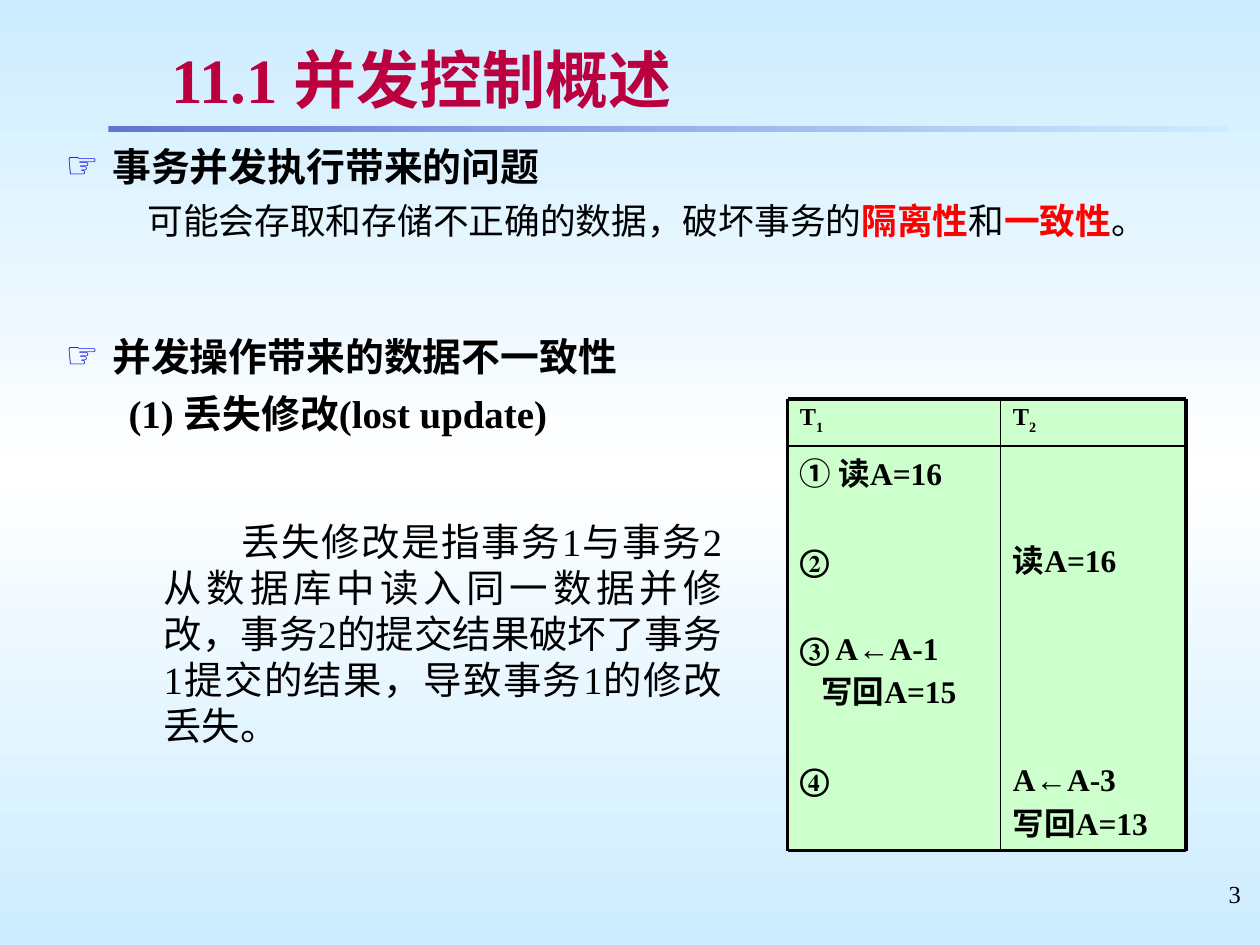
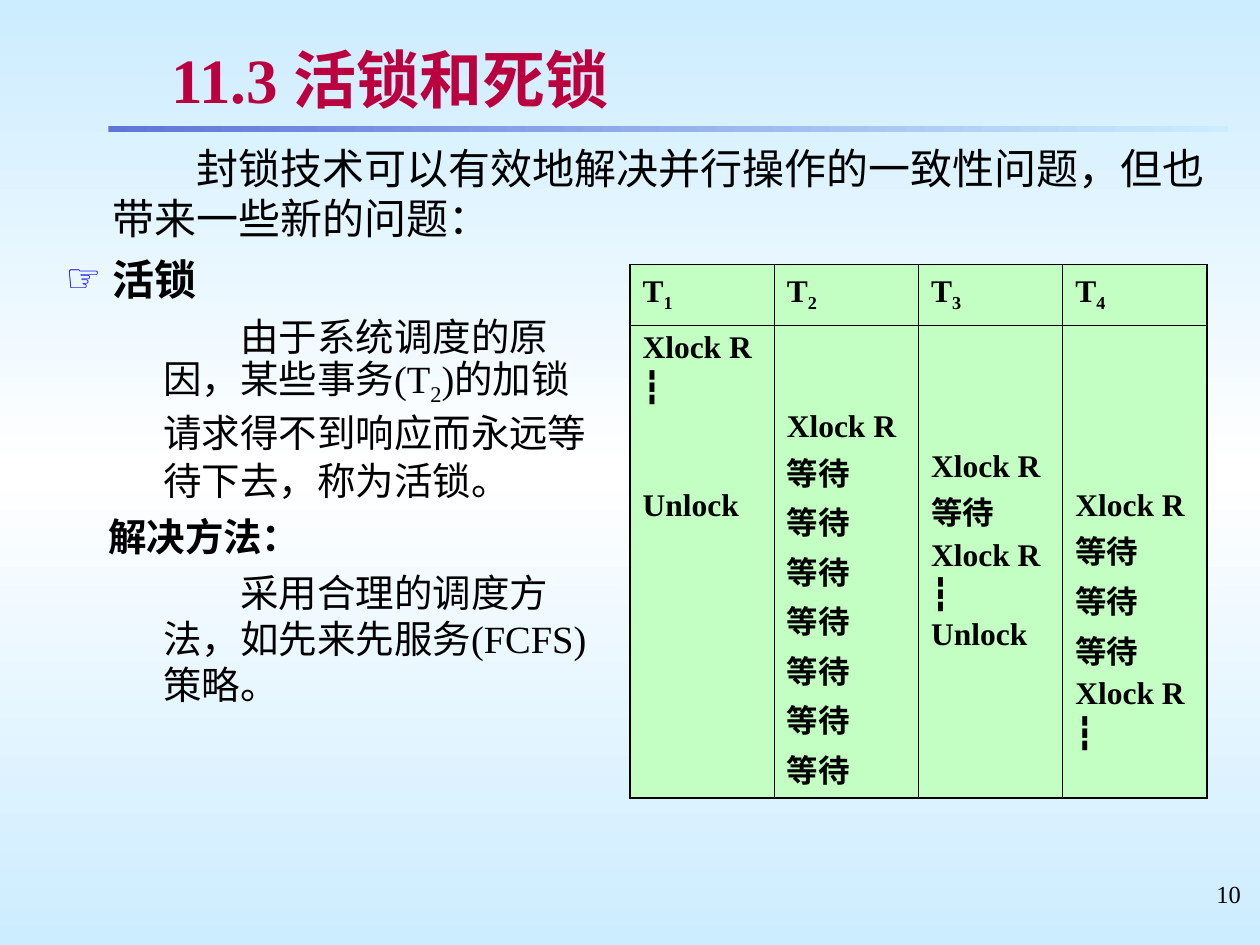
from pptx import Presentation
from pptx import util as u
from pptx.dml.color import RGBColor
from pptx.enum import shapes, text
from pptx.oxml.ns import qn
from lxml import etree

THEME = {
    "latin": "Times New Roman", "asian": "Noto Sans CJK SC",
    "ink": "000000", "title": "BA003E", "hot": "FF0000", "bullet": "0000E8",
    "sky": [(0, "CCECFF"), (50, "FFFFFF"), (100, "CCECFF")],
    "band": [(0, "5F76D7"), (100, "CCECFF")],
    "title_size": 36, "page_size": 14, "step_size": 18, "lead": 1.2, "pad": 0.05,
}
BAND = (8.6, 13.33, 88.9, 0.67)
PAGE = (76, 92.4, 23.3, 6.93)
TITLE = (12.6, 3.87, 82.4, 8.93)

SUB = {"baseline": -25000}
HOT = {"bold": True, "color": THEME["hot"]}

HEAD = {"size": 22.2, "bold": True, "left": 0.37, "first": -0.37, "bullet": "☞", "before": 6}
NOTE = {"size": 20.4, "left": 0.37, "first": 0.28, "before": 5.5}
ITEM = {"size": 22.2, "bold": True, "left": 0.5, "before": 6}
LEAD_IN = {"size": 24, "left": 0.37, "first": 0.67}
TOPIC = {**HEAD, "size": 24}
PROSE = {"size": 22, "left": 0.81, "first": 0.61, "before": 5.5}
METHOD = {"size": 22, "bold": True, "left": 0.37, "before": 5.5}

WAIT, XLOCK, DOTS = "等待", "Xlock R", "┇"

SLIDES = [
    {
        "page": "3", "title": "11.1 并发控制概述",
        "body": ((4.2, 14.4, 92.5, 33.47), [
            (HEAD, ["事务并发执行带来的问题"]),
            (NOTE, ["可能会存取和存储不正确的数据，破坏事务的", ("隔离性", HOT), "和",
                    ("一致性", HOT), "。"]),
            ({**HEAD, "before": 52}, ["并发操作带来的数据不一致性"]),
            (ITEM, ["(1) 丢失修改(lost update)"]),
        ]),
        "box": ((3.9, 54.13, 54.2, 34.27), [
            ({**PROSE, "first": 0.62, "align": text.PP_ALIGN.JUSTIFY},
             ["丢失修改是指事务1与事务2从数据库中读入同一数据并修改，"
              "事务2的提交结果破坏了事务1提交的结果，导致事务1的修改丢失。"]),
        ]),
        "schedule": {
            "kind": "panels",
            "at": (62.5, 42.27), "cols": (16.9, 14.7), "rows": (4.93, 42.8),
            "fill": "CCFFCC", "outer": 2.25, "inner": 1,
            "head_size": 13.9, "head_top": 0.05, "head_anchor": text.MSO_ANCHOR.TOP,
            "top": 0.06, "before": 3.4, "lead": 1.2, "wait_lead": 1.2,
            "steps": [
                [(0, "① 读A=16"), (1, "②"), (1, "③ A←A-1"),
                 (0, "写回A=15", {"left": 0.17}), (1, "④")],
                [(2, "读A=16"), (4, "A←A-3"), (0, "写回A=13")],
            ],
        },
    },
    {
        "page": "10", "title": "11.3 活锁和死锁",
        "body": ((4.2, 14.4, 92.5, 18.93), [
            (LEAD_IN, ["封锁技术可以有效地解决并行操作的一致性问题，但也带来一些新的问题："]),
            (TOPIC, ["活锁"]),
        ]),
        "box": ((3.9, 32.27, 44.2, 56.67), [
            ({**PROSE, "lead": 1.25},
             ["由于系统调度的原因，某些事务(T", ("2", SUB),
              ")的加锁请求得不到响应而永远等待下去，称为活锁。"]),
            (METHOD, ["解决方法："]),
            (PROSE, ["采用合理的调度方法，如先来先服务(FCFS)策略。"]),
        ]),
        "schedule": {
            "kind": "table",
            "at": (50, 28), "cols": (11.45,) * 4, "rows": (6.4, 50),
            "fill": "C3FFC3", "outer": 1.08, "inner": 0.45,
            "head_size": 18, "head_top": 0.05, "head_anchor": text.MSO_ANCHOR.MIDDLE,
            "top": 0.04, "before": 2.2, "lead": 1.13, "wait_lead": 1.45,
            "steps": [
                [(0, XLOCK), (0, DOTS), (2, "Unlock")],
                [(2, XLOCK)] + [(0, WAIT)] * 7,
                [(3, XLOCK), (0, WAIT), (0, XLOCK), (0, DOTS), (0, "Unlock")],
                [(4, XLOCK)] + [(0, WAIT)] * 3 + [(0, XLOCK), (0, DOTS)],
            ],
        },
    },
]

prs = Presentation()
prs.slide_width, prs.slide_height = u.Inches(10), u.Inches(7.5)


def across(share):
    return round(prs.slide_width * share / 100)


def down(share):
    return round(prs.slide_height * share / 100)


def place(box):
    left, top, width, height = box
    return across(left), down(top), across(width), down(height)


def assign(obj, values):
    for name, value in values.items():
        setattr(obj, name, value)


def add_xml(parent, tag, **attrs):
    return etree.SubElement(parent, qn(tag), {k: str(v) for k, v in attrs.items()})


def add_colour(parent, colour):
    return add_xml(parent, "a:srgbClr", val=colour)


def paint_solid(fill, colour):
    fill.solid()
    fill.fore_color.rgb = RGBColor.from_string(colour)


def paint_gradient(fill, owner, stops, angle):
    fill.gradient()
    fill.gradient_angle = angle
    gs_lst = next(owner.iter(qn("a:gsLst")))
    for old in list(gs_lst):
        gs_lst.remove(old)
    for pos, colour in stops:
        add_colour(add_xml(gs_lst, "a:gs", pos=pos * 1000), colour)


def add_run(p, words, fmt):
    r = p.add_run()
    r.text = words
    assign(r.font, {"name": THEME["latin"], "size": u.Pt(fmt["size"]),
                    "bold": fmt.get("bold", False)})
    r.font.color.rgb = RGBColor.from_string(fmt.get("color", THEME["ink"]))
    rPr = r._r.get_or_add_rPr()
    if "baseline" in fmt:
        rPr.set("baseline", str(fmt["baseline"]))
    if fmt.get("shadow"):
        effects = etree.Element(qn("a:effectLst"))
        shadow = add_xml(effects, "a:outerShdw", blurRad=38100, dist=38100, dir=2700000)
        add_xml(add_colour(shadow, "000000"), "a:alpha", val=43000)
        rPr.find(qn("a:solidFill")).addnext(effects)
    add_xml(rPr, "a:ea", typeface=THEME["asian"])


def write(tf, paragraphs, top=THEME["pad"], anchor=text.MSO_ANCHOR.TOP):
    assign(tf, {"word_wrap": True, "auto_size": text.MSO_AUTO_SIZE.NONE,
                "margin_left": u.Inches(0.1), "margin_right": u.Inches(0.08),
                "margin_top": u.Inches(top), "margin_bottom": u.Inches(0.04),
                "vertical_anchor": anchor})
    for i, (fmt, runs) in enumerate(paragraphs):
        p = tf.paragraphs[0] if i == 0 else tf.add_paragraph()
        assign(p, {"alignment": fmt.get("align", text.PP_ALIGN.LEFT),
                   "line_spacing": u.Pt(fmt["size"] * fmt.get("lead", THEME["lead"])),
                   "space_before": u.Pt(fmt.get("before", 0) if i else 0)})
        pPr = p._p.get_or_add_pPr()
        pPr.set("marL", str(u.Inches(fmt.get("left", 0))))
        pPr.set("indent", str(u.Inches(fmt.get("first", 0))))
        pPr.set("hangingPunct", "0")
        if "bullet" in fmt:
            add_colour(add_xml(pPr, "a:buClr"), THEME["bullet"])
            add_xml(pPr, "a:buSzPct", val=95000)
            add_xml(pPr, "a:buChar", char=fmt["bullet"])
        else:
            add_xml(pPr, "a:buNone")
        for run in runs:
            words, extra = (run, {}) if isinstance(run, str) else run
            add_run(p, words, {**fmt, **extra})


def fill_placeholder(sp, box, paragraphs, **kw):
    assign(sp, dict(zip(("left", "top", "width", "height"), place(box))))
    write(sp.text_frame, paragraphs, **kw)


def add_text(slide, box, paragraphs):
    write(slide.shapes.add_textbox(*place(box)).text_frame, paragraphs)


def schedule_cells(plan):
    size = THEME["step_size"]
    pitch = size * plan["lead"] + plan["before"]
    for c, steps in enumerate(plan["steps"]):
        head = {"size": plan["head_size"], "bold": True}
        yield (0, c, [(head, ["T", (str(c + 1), SUB)])],
               plan["head_top"], plan["head_anchor"])
        paragraphs = []
        for gap, words, *extra in steps:
            fmt = {"size": size, "bold": words != DOTS,
                   "lead": plan["wait_lead" if words == WAIT else "lead"],
                   "before": plan["before"] + gap * pitch}
            paragraphs.append(({**fmt, **(extra[0] if extra else {})}, [words]))
        yield 1, c, paragraphs, plan["top"] + steps[0][0] * pitch / 72, text.MSO_ANCHOR.TOP


def add_rule(slide, start, end, width):
    line = slide.shapes.add_connector(shapes.MSO_CONNECTOR.STRAIGHT, *start, *end)
    line.line.width = u.Pt(width)
    line.line.color.rgb = RGBColor.from_string(THEME["ink"])
    add_xml(line.element.spPr, "a:effectLst")


def add_panels(slide, plan):
    left, top = plan["at"]
    cols, rows = plan["cols"], plan["rows"]
    xs = [left + sum(cols[:i]) for i in range(len(cols) + 1)]
    ys = [top + sum(rows[:i]) for i in range(len(rows) + 1)]
    for r, c, paragraphs, inset, anchor in schedule_cells(plan):
        panel = slide.shapes.add_shape(
            shapes.MSO_SHAPE.RECTANGLE, *place((xs[c], ys[r], cols[c], rows[r])))
        panel.shadow.inherit = False
        panel.line.fill.background()
        paint_solid(panel.fill, plan["fill"])
        write(panel.text_frame, paragraphs, inset, anchor)
    for y in ys:
        width = plan["outer" if y in (ys[0], ys[-1]) else "inner"]
        add_rule(slide, (across(xs[0]), down(y)), (across(xs[-1]), down(y)), width)
    for x in xs:
        width = plan["outer" if x in (xs[0], xs[-1]) else "inner"]
        add_rule(slide, (across(x), down(ys[0])), (across(x), down(ys[-1])), width)


def add_border(cell, side, width):
    ln = add_xml(cell._tc.get_or_add_tcPr(), "a:ln" + side, w=u.Pt(width))
    add_colour(add_xml(ln, "a:solidFill"), THEME["ink"])


def add_table(slide, plan):
    cols, rows = plan["cols"], plan["rows"]
    tbl = slide.shapes.add_table(
        len(rows), len(cols), *place((*plan["at"], sum(cols), sum(rows)))).table
    assign(tbl, {"first_row": False, "horz_banding": False})
    for col, share in zip(tbl.columns, cols):
        col.width = across(share)
    for row, share in zip(tbl.rows, rows):
        row.height = down(share)
    for r, c, paragraphs, inset, anchor in schedule_cells(plan):
        cell = tbl.cell(r, c)
        edges = {"L": c == 0, "R": c == len(cols) - 1, "T": r == 0, "B": r == 1}
        for side, is_outer in edges.items():
            add_border(cell, side, plan["outer" if is_outer else "inner"])
        paint_solid(cell.fill, plan["fill"])
        write(cell.text_frame, paragraphs)
        assign(cell, {"margin_left": u.Inches(0.1), "margin_right": u.Inches(0.08),
                      "margin_top": u.Inches(inset), "margin_bottom": u.Inches(0.05),
                      "vertical_anchor": anchor})


def add_slide(content):
    slide = prs.slides.add_slide(prs.slide_layouts[1])
    band = slide.shapes.add_shape(shapes.MSO_SHAPE.RECTANGLE, *place(BAND))
    band.shadow.inherit = False
    band.line.fill.background()
    paint_gradient(band.fill, band.element, THEME["band"], 0)
    title = {"size": THEME["title_size"], "color": THEME["title"], "bold": True,
             "shadow": True}
    fill_placeholder(slide.shapes.title, TITLE, [(title, [content["title"]])], top=0.03)
    fill_placeholder(slide.placeholders[1], *content["body"])
    plan = content["schedule"]
    draw = {"panels": add_panels, "table": add_table}[plan["kind"]]
    draw(slide, plan)
    add_text(slide, *content["box"])
    page = {"size": THEME["page_size"], "align": text.PP_ALIGN.RIGHT}
    add_text(slide, PAGE, [(page, [content["page"]])])


def main():
    master = prs.slide_master
    paint_gradient(master.background.fill, master.element, THEME["sky"], 90)
    for content in SLIDES:
        add_slide(content)
    prs.save("out.pptx")


if __name__ == "__main__":
    main()
